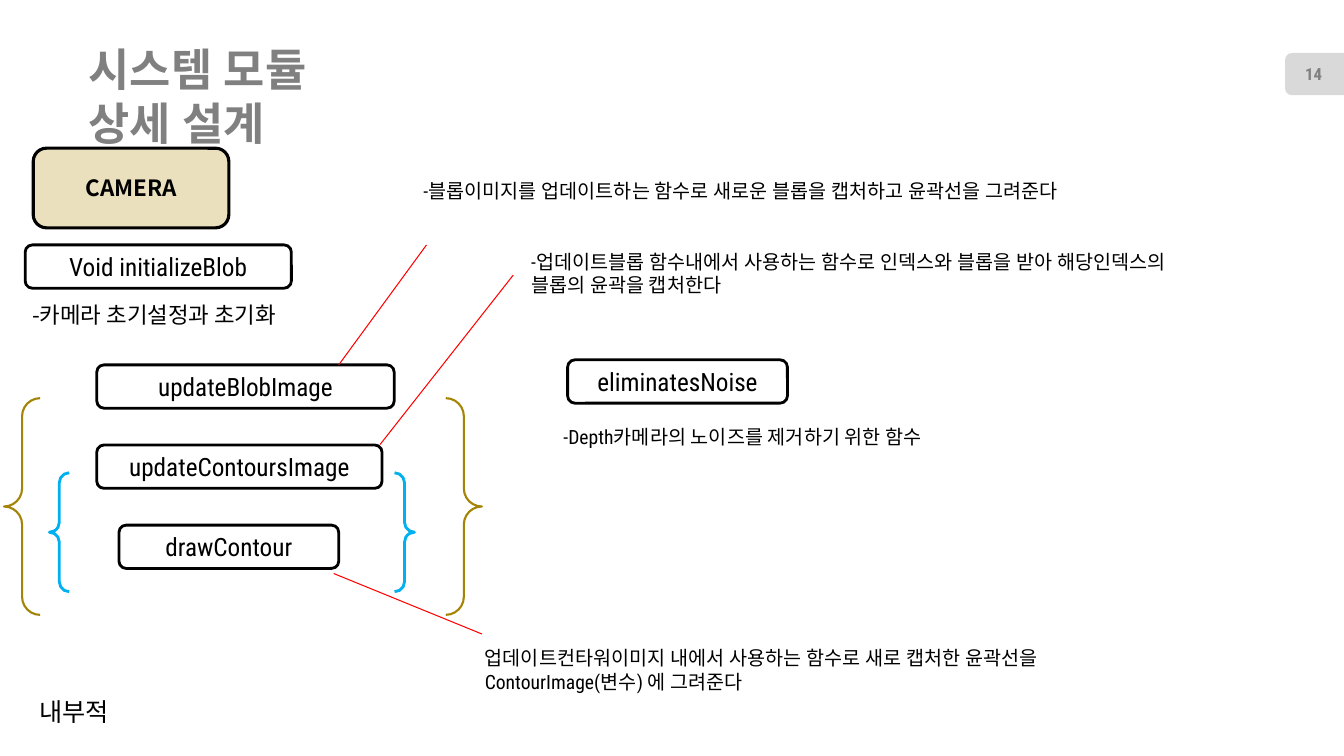
from collections import namedtuple
from lxml import etree
from pptx import Presentation, util as u
from pptx.dml.color import RGBColor
from pptx.enum import shapes, text
from pptx.oxml import ns

BLACK = RGBColor(0, 0, 0)
GRAY = RGBColor(0x80, 0x80, 0x80)
TAB_GRAY = RGBColor(0xD9, 0xD9, 0xD9)
SAND = RGBColor(0xEA, 0xE0, 0xBE)
OLIVE = RGBColor(0xA4, 0x84, 0x06)
SKY = RGBColor(0x00, 0xB0, 0xF0)
RED = RGBColor(0xFF, 0, 0)

CONDENSED, SANS, KOREAN = "Roboto Condensed", "Roboto", "Noto Sans CJK KR"
KIND = shapes.MSO_SHAPE
CENTER, LEFT = text.PP_ALIGN.CENTER, text.PP_ALIGN.LEFT
MIDDLE, TOP = text.MSO_ANCHOR.MIDDLE, text.MSO_ANCHOR.TOP
CELL = u.Inches(0.1)
LABEL_ROWS = 4.3

Box = namedtuple("Box", "col row cols rows")


def within(region, col, row, cols, rows):
    return Box(region.col + col, region.row + row, cols, rows)


def emu(box):
    return [round(length * CELL) for length in box]


def write(frame, words, size, font=CONDENSED, color=BLACK, bold=False,
          align=LEFT, anchor=TOP):
    frame.word_wrap = True
    frame.vertical_anchor = anchor
    paragraph = frame.paragraphs[0]
    paragraph.alignment = align
    run = paragraph.add_run()
    run.text = words
    run.font.name = font
    run.font.size = u.Pt(size)
    run.font.bold = bold
    run.font.color.rgb = color
    east_asian = etree.SubElement(run.font._element, ns.qn("a:ea"))
    east_asian.set("typeface", font)


def add_note(slide, box, words, size, **style):
    frame = slide.shapes.add_textbox(*emu(box)).text_frame
    write(frame, words, size, **style)
    return frame


def add_figure(slide, kind, box, fill=None, line=None, weight=2):
    figure = slide.shapes.add_shape(kind, *emu(box))
    figure.shadow.inherit = False
    if fill is None:
        figure.fill.background()
    else:
        figure.fill.solid()
        figure.fill.fore_color.rgb = fill
    if line is None:
        figure.line.fill.background()
    else:
        figure.line.color.rgb = line
        figure.line.width = u.Pt(weight)
    return figure


def add_label(slide, box, words, fill=None, weight=2, size=18, **style):
    label = add_figure(slide, KIND.ROUNDED_RECTANGLE, box, fill, BLACK, weight)
    write(label.text_frame, words, size, align=CENTER, anchor=MIDDLE, **style)


def add_leader(slide, region, start, end):
    points = [round((origin + offset) * CELL) for point in (start, end)
              for origin, offset in zip(region[:2], point)]
    leader = slide.shapes.add_connector(shapes.MSO_CONNECTOR.STRAIGHT, *points)
    leader.line.color.rgb = RED
    leader.line.width = u.Pt(0.75)
    etree.SubElement(leader._element.spPr, ns.qn("a:effectLst"))


def header(slide, region):
    tab = add_figure(slide, KIND.ROUND_2_SAME_RECTANGLE,
                     within(region, 128.3, 4.4, 4.2, 5.9), TAB_GRAY)
    tab.rotation = 270
    add_note(slide, within(region, 127.5, 5.3, 5.6, 4), "14", 12,
             color=GRAY, bold=True, align=CENTER, anchor=MIDDLE)
    title = add_note(slide, within(region, 8.8, 6.9, 27.9, 5.2),
                     "시스템 모듈 상세 설계", 32, font=SANS, color=GRAY,
                     bold=True, anchor=MIDDLE)
    title.margin_left = title.margin_right = 0
    title.margin_top = title.margin_bottom = 0


def camera_setup(slide, region):
    add_label(slide, within(region, 1.1, 0, 19.4, 7.9), "CAMERA",
              fill=SAND, weight=2.25, size=16, font=KOREAN, bold=True)
    add_label(slide, within(region, 0.3, 9.6, 26.4, LABEL_ROWS),
              "Void initializeBlob")
    add_note(slide, within(region, 0, 14.7, region.cols, 3.7),
             "-카메라 초기설정과 초기화", 16, font=KOREAN)


def blob_calls(slide, region):
    calls = [
        ("updateBlobImage", 9.2, 29.5, (33.2, 18.9), (41.9, 7), (40.6, 0),
         "-블롭이미지를 업데이트하는 함수로 새로운 블롭을 캡처하고 윤곽선을 그려준다"),
        ("updateContoursImage", 9.2, 28.3, (37.3, 26.8), (50.5, 10), (51.3, 7),
         "-업데이트블롭 함수내에서 사용하는 함수로 인덱스와 블롭을 받아 "
         "해당인덱스의 블롭의 윤곽을 캡처한다"),
        ("drawContour", 11.4, 21.8, (32.7, 39.6), (47.4, 45.6), (46.7, 46.3),
         "업데이트컨타워이미지 내에서 사용하는 함수로 새로 캡처한 윤곽선을 "
         "ContourImage(변수) 에 그려준다"),
    ]
    first_row, pitch = 18.9, 7.95
    for index, (name, col, cols, start, end, note_at, note) in enumerate(calls):
        add_label(slide, within(region, col, first_row + index * pitch,
                                cols, LABEL_ROWS), name)
        add_leader(slide, region, start, end)
        add_note(slide, within(region, *note_at, 66.7, 5.7), note, 14)
    add_figure(slide, KIND.DOUBLE_BRACE, within(region, 0, 22.2, 47.4, 21.5),
               line=OLIVE, weight=1.5)
    add_figure(slide, KIND.DOUBLE_BRACE, within(region, 4.5, 29.6, 36.2, 11.8),
               line=SKY)


def noise_removal(slide, region):
    add_label(slide, within(region, 1.4, 0, 21.8, LABEL_ROWS), "eliminatesNoise")
    add_note(slide, within(region, 0, 6, region.cols, 3.4),
             "-Depth카메라의 노이즈를 제거하기 위한 함수", 14)


def scope_note(slide, region):
    add_note(slide, region, "내부적", 18)


deck = Presentation()
deck.slide_width, deck.slide_height = u.Inches(13.33), u.Inches(7.5)
module_slide = deck.slides.add_slide(deck.slide_layouts[6])
header(module_slide, Box(0, 0, 133.3, 14))
camera_setup(module_slide, Box(2.2, 14.7, 37.5, 18.4))
blob_calls(module_slide, Box(0.4, 17.3, 118, 52))
noise_removal(module_slide, Box(54.9, 35.7, 66.7, 9.4))
scope_note(module_slide, Box(2.9, 68.6, 12.6, 4))
deck.save("out.pptx")
